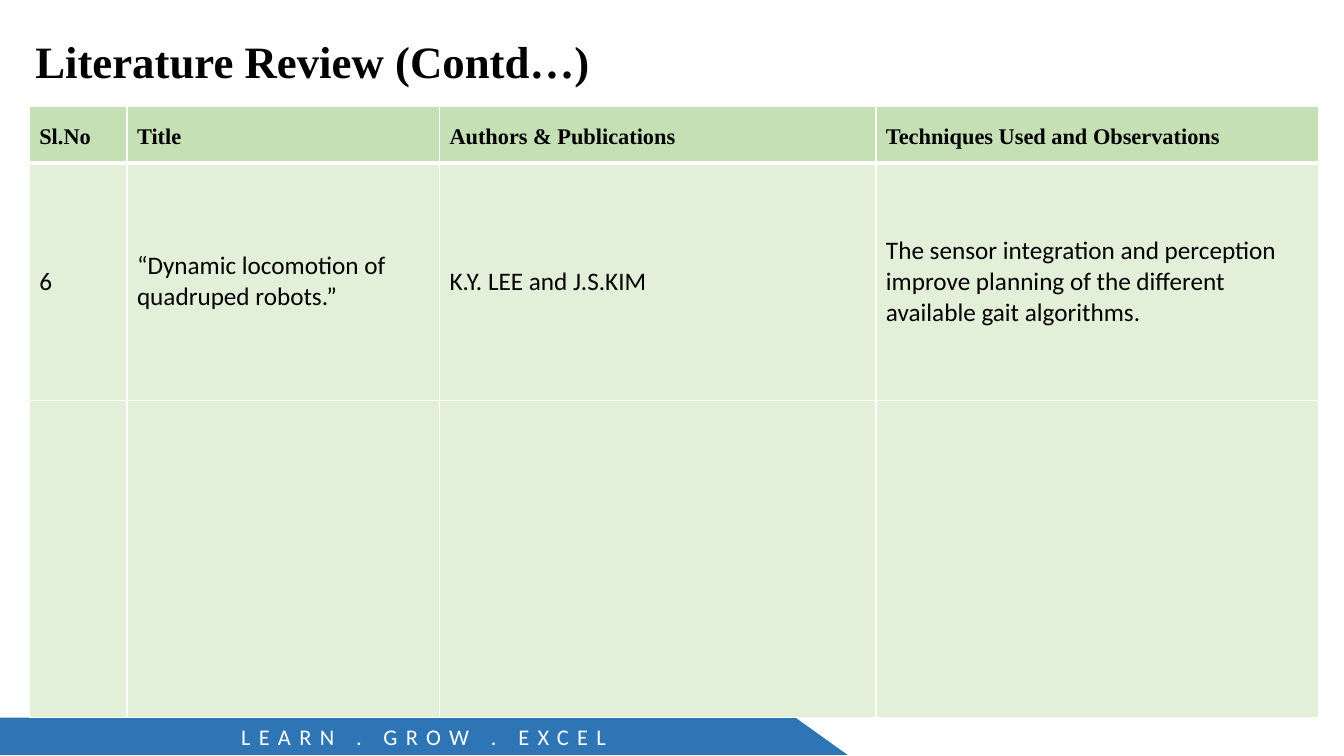
from lxml import etree
from pptx import Presentation
from pptx.dml.color import RGBColor
from pptx.enum.text import MSO_ANCHOR, PP_ALIGN
from pptx.oxml.ns import qn
from pptx.util import Pt

TOP, MIDDLE = MSO_ANCHOR.TOP, MSO_ANCHOR.MIDDLE
LEFT, CENTER, JUSTIFY = PP_ALIGN.LEFT, PP_ALIGN.CENTER, PP_ALIGN.JUSTIFY
SERIF, SANS = "Times New Roman", "Calibri"
COLORS = {
    "text": "000000",
    "white": "FFFFFF",
    "banner": "2E75B6",
    "header": "C5E0B4",
    "body": "E2F0D9",
}

COLUMN_WIDTHS = [69.8, 223.2, 311.8, 316.1]
ROW_HEIGHTS = [40.3, 169.2, 226.8]
REVIEW_ROWS = [
    ["Sl.No", "Title", "Authors & Publications", "Techniques Used and Observations"],
    [
        "6",
        "“Dynamic locomotion of quadruped robots.”",
        "K.Y. LEE and J.S.KIM",
        "The sensor integration and perception improve planning of the "
        "different available gait algorithms.",
    ],
    ["", "", "", ""],
]


def color(name):
    return RGBColor.from_string(COLORS[name])


def add_run(paragraph, text, font, size, color_name="text", bold=False):
    run = paragraph.add_run()
    run.text = text
    run.font.name = font
    run.font.size = Pt(size)
    run.font.bold = bold
    run.font.color.rgb = color(color_name)
    return run


def set_title(slide, text):
    title = slide.shapes.title
    title.left, title.top, title.width, title.height = Pt(18), Pt(20.2), Pt(930), Pt(54)
    title.text_frame.vertical_anchor = TOP
    paragraph = title.text_frame.paragraphs[0]
    paragraph.alignment = LEFT
    add_run(paragraph, text, SERIF, 32, bold=True)


def add_banner(slide, text):
    top, bottom = Pt(512.6), Pt(539.3)
    builder = slide.shapes.build_freeform(0, top)
    builder.add_line_segments(
        [(Pt(568.1), top), (Pt(605.5), bottom), (0, bottom)], close=True
    )
    banner = builder.convert_to_shape()
    banner.shadow.inherit = False
    banner.fill.solid()
    banner.fill.fore_color.rgb = color("banner")
    banner.line.fill.background()
    banner.text_frame.vertical_anchor = MIDDLE
    paragraph = banner.text_frame.paragraphs[0]
    paragraph.alignment = CENTER
    run = add_run(paragraph, text, SANS, 16, "white")
    run.font._element.set("spc", "600")  # letter spacing, hundredths of a point


def set_borders(cell, top, bottom):
    properties = cell._tc.get_or_add_tcPr()
    for side, width in (("L", 1), ("R", 1), ("T", top), ("B", bottom)):
        line = etree.SubElement(properties, qn(f"a:ln{side}"), w=str(Pt(width)))
        fill = etree.SubElement(line, qn("a:solidFill"))
        etree.SubElement(fill, qn("a:srgbClr"), val=COLORS["white"])


def format_cell(cell, text, row_index):
    is_header = row_index == 0
    set_borders(cell, top=3 if row_index == 1 else 1, bottom=3 if is_header else 1)
    cell.fill.solid()
    cell.fill.fore_color.rgb = color("header" if is_header else "body")
    cell.vertical_anchor = TOP if is_header else MIDDLE
    if not text:
        return
    paragraph = cell.text_frame.paragraphs[0]
    if is_header:
        paragraph.alignment = JUSTIFY
        paragraph.line_spacing = 1.5
        add_run(paragraph, text, SERIF, 16, bold=True)
    else:
        add_run(paragraph, text, SANS, 18)


def add_review_table(slide, rows):
    frame = slide.shapes.add_table(
        len(rows), len(COLUMN_WIDTHS), Pt(20.9), Pt(76.3),
        Pt(sum(COLUMN_WIDTHS)), Pt(sum(ROW_HEIGHTS)),
    )
    table = frame.table
    for column, width in zip(table.columns, COLUMN_WIDTHS):
        column.width = Pt(width)
    for row_index, (row, height) in enumerate(zip(table.rows, ROW_HEIGHTS)):
        row.height = Pt(height)
        for cell, text in zip(row.cells, rows[row_index]):
            format_cell(cell, text, row_index)


def main():
    presentation = Presentation()
    presentation.slide_width, presentation.slide_height = Pt(960), Pt(540)
    slide = presentation.slides.add_slide(presentation.slide_layouts[5])

    # Footer banner
    add_banner(slide, "LEARN . GROW . EXCEL")
    # Heading
    set_title(slide, "Literature Review (Contd…)")
    # Reviewed papers
    add_review_table(slide, REVIEW_ROWS)

    presentation.save("out.pptx")


if __name__ == "__main__":
    main()
